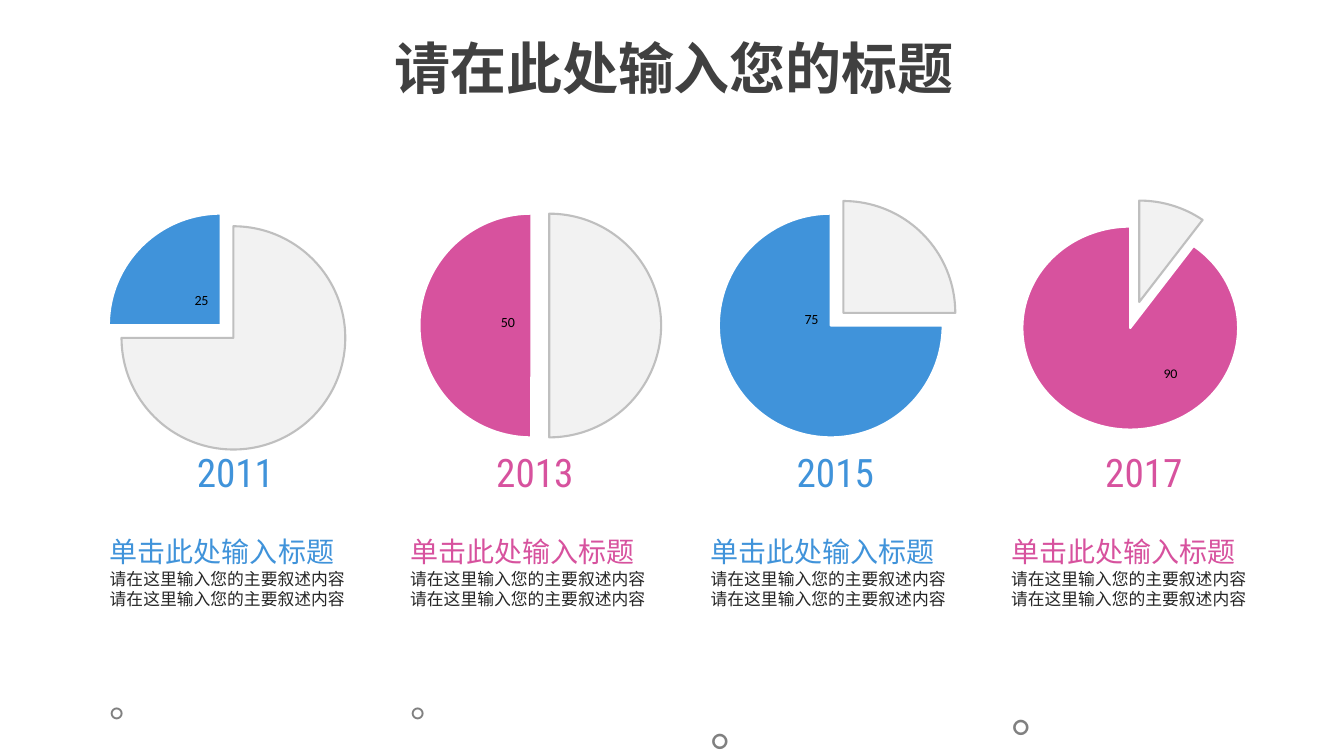
from lxml.etree import SubElement
from pptx import Presentation
from pptx.chart.data import CategoryChartData
from pptx.dml.color import RGBColor
from pptx.enum.chart import XL_CHART_TYPE as ChartType, XL_LABEL_POSITION as LabelPosition
from pptx.enum.text import MSO_ANCHOR as Anchor, MSO_AUTO_SIZE as AutoSize, PP_ALIGN as Align
from pptx.oxml import parse_xml
from pptx.oxml.ns import nsdecls, qn
from pptx.util import Inches, Pt

CJK = "Noto Sans CJK SC"
BLUE, PINK = "4093DA", "D7529E"
CHART_WIDTH, CHART_HEIGHT = 4.03, 2.49
LINE_HEIGHT = 1.22


def color(value):
    """Turn a hex string into a colour."""
    return RGBColor.from_string(value)


def add_text(para, text, size, fill, font=CJK, bold=False, align=Align.LEFT, spacing=None, before=0):
    """Write one formatted span into a paragraph."""
    span = para.add_run()
    span.text = text
    span.font.size = Pt(size)
    span.font.bold = bold
    span.font.name = font
    span.font.color.rgb = color(fill)
    SubElement(span.font._element, qn("a:ea")).set("typeface", font)
    para.alignment = align
    para.line_spacing = spacing
    if before:
        para.space_before = Pt(before)


def add_box(page, left, top, width, height, wrap=True):
    """Add an empty text box and return its text frame."""
    frame = page.shapes.add_textbox(Inches(left), Inches(top), Inches(width), Inches(height)).text_frame
    frame.word_wrap = wrap
    frame.auto_size = AutoSize.SHAPE_TO_FIT_TEXT
    return frame


def set_title(page, text):
    """Move and format the title placeholder."""
    title = page.shapes.title
    title.left, title.top, title.width, title.height = (Inches(n) for n in (3.77, 0.27, 5.83, 0.77))
    frame = title.text_frame
    frame.word_wrap = False
    frame.auto_size = AutoSize.SHAPE_TO_FIT_TEXT
    frame.vertical_anchor = Anchor.TOP
    add_text(frame.paragraphs[0], text, 40, "404040", bold=True, align=Align.CENTER,
             spacing=Pt(40 * LINE_HEIGHT))


def layout_xml(**values):
    """Build a manual chart layout from named values."""
    parts = "".join(f'<c:{name} val="{value}"/>' for name, value in values.items())
    return parse_xml(f'<c:layout {nsdecls("c")}><c:manualLayout>{parts}</c:manualLayout></c:layout>')


def place_plot(chart, size, center_x, center_y):
    """Fix the square plot area by its side and centre in inches."""
    area = chart._chartSpace.find(".//" + qn("c:plotArea"))
    for old in area.findall(qn("c:layout")):
        area.remove(old)
    area.insert(0, layout_xml(
        layoutTarget="inner", xMode="edge", yMode="edge",
        x=(center_x - size / 2) / CHART_WIDTH, y=(center_y - size / 2) / CHART_HEIGHT,
        w=size / CHART_WIDTH, h=size / CHART_HEIGHT))


def add_pie(page, left, share, fill, explosion, size, center, label_shift):
    """Add a pie with a coloured share and a pulled-out grey rest."""
    data = CategoryChartData()
    data.categories = ["1", "2"]
    data.add_series("Series 1", (100 - share, share))
    chart = page.shapes.add_chart(
        ChartType.PIE, Inches(left), Inches(1.98), Inches(CHART_WIDTH), Inches(CHART_HEIGHT), data).chart
    chart.has_legend = chart.has_title = False
    chart.font.size = Pt(10)
    chart.font.name = "Calibri"
    chart.font.color.rgb = color("000000")
    place_plot(chart, size, *center)

    plot = chart.plots[0]
    plot.vary_by_categories = True
    series = plot.series[0]
    for index, (inside, outline) in enumerate((("F2F2F2", "BFBFBF"), (fill, "FFFFFF"))):
        style = series.points[index].format
        style.fill.solid()
        style.fill.fore_color.rgb = color(inside)
        style.line.color.rgb = color(outline)
        style.line.width = Pt(1.5)
    rest = series._element.find(qn("c:dPt"))
    rest.find(qn("c:spPr")).addprevious(parse_xml(f'<c:explosion {nsdecls("c")} val="{explosion}"/>'))

    series.data_labels.show_value = False
    label = series.points[1].data_label
    label.font.size = Pt(10)
    label.position = LabelPosition.CENTER
    shift_x, shift_y = label_shift
    label_xml = series._element.find(".//" + qn("c:dLbl"))
    label_xml.find(qn("c:idx")).addnext(layout_xml(x=shift_x, y=shift_y))


def add_year(page, left, year, fill):
    """Add the year below a pie."""
    frame = add_box(page, left, 4.41, 1.41, 0.55)
    frame.margin_left = frame.margin_right = Inches(0.07)
    frame.margin_top = frame.margin_bottom = Inches(0.04)
    add_text(frame.paragraphs[0], year, 28, fill, font="Roboto Condensed", align=Align.CENTER)


def add_description(page, left, height, fill, gap, dot_size):
    """Add a heading, two lines of text and a closing dot."""
    frame = add_box(page, left, 5.25, 2.56, height, wrap=False)
    add_text(frame.paragraphs[0], "单击此处输入标题", 20, fill, spacing=Pt(20 * LINE_HEIGHT))
    for _ in range(2):
        add_text(frame.add_paragraph(), "请在这里输入您的主要叙述内容", 12, "262626",
                 spacing=Pt(12 * LINE_HEIGHT))
    add_text(frame.add_paragraph(), "。", dot_size, "808080", font="Arial", spacing=1.3, before=gap)


def main():
    """Build the slide and save it."""
    deck = Presentation()
    deck.slide_width, deck.slide_height = Inches(13.33), Inches(7.5)
    page = deck.slides.add_slide(deck.slide_layouts[5])
    set_title(page, "请在此处输入您的标题")

    middle = (2.02, 1.25)
    pies = (
        (0.17, 25, BLUE, 16, 2.22, middle, (0.05, 0.06)),
        (3.19, 50, PINK, 16, 2.22, (2.08, 1.25), (0.08, -0.01)),
        (6.22, 75, BLUE, 16, 2.22, middle, (0.05, -0.18)),
        (9.19, 90, PINK, 27, 2.14, (2.02, 1.2), (0.14, -0.01)),
    )
    years = ((1.63, "2011"), (4.6, "2013"), (7.58, "2015"), (10.64, "2017"))
    endings = ((1.99, 39, 28), (1.99, 39, 28), (2.3, 49, 36), (2.23, 39, 36))
    for column, (pie, year, ending) in enumerate(zip(pies, years, endings)):
        fill = pie[2]
        height, gap, dot_size = ending
        add_pie(page, *pie)
        add_year(page, *year, fill)
        add_description(page, 0.99 + 2.98 * column, height, fill, gap, dot_size)
    deck.save("out.pptx")


if __name__ == "__main__":
    main()
